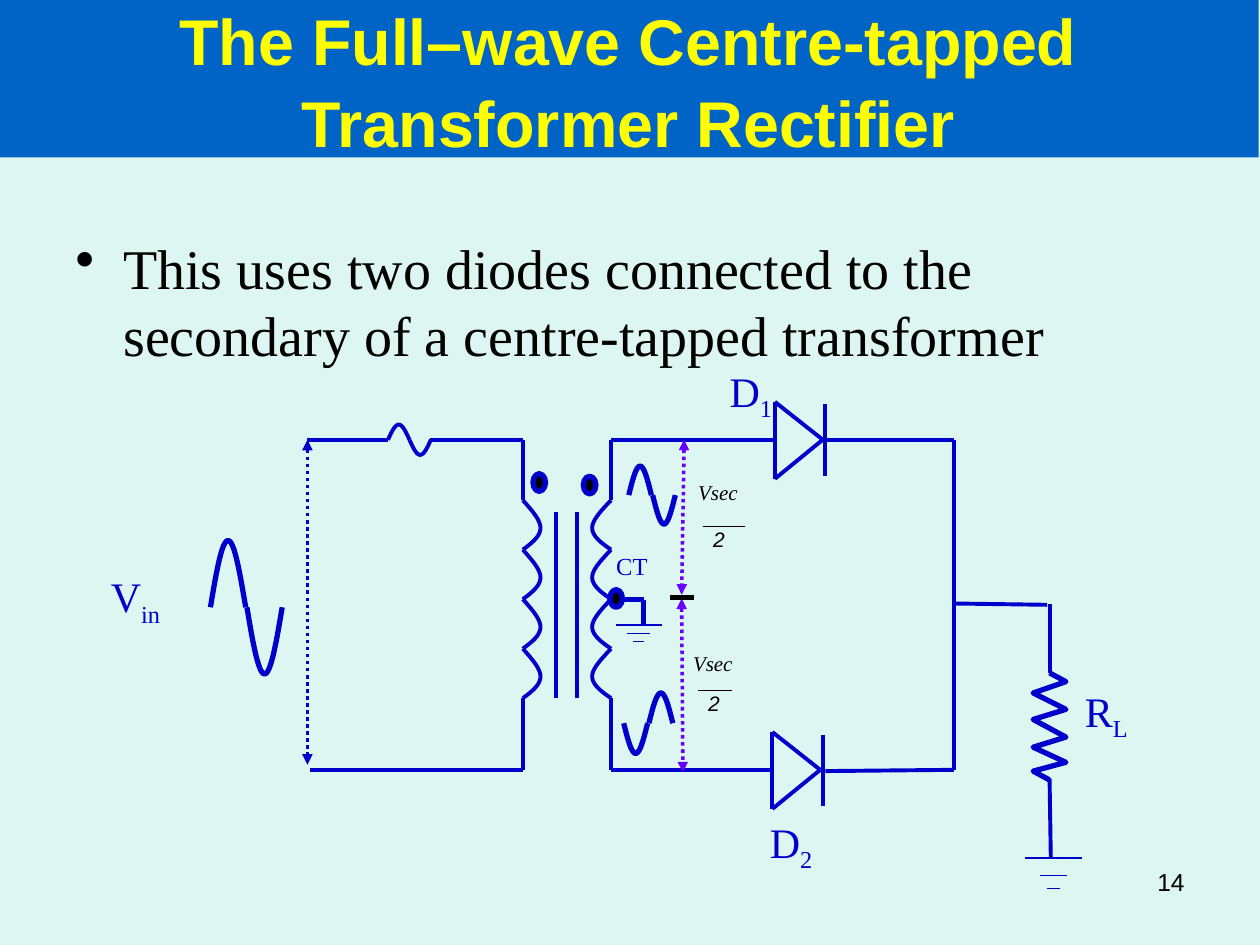
from math import pi, sin
from typing import NamedTuple

from lxml import etree
from pptx import Presentation
from pptx.dml.color import RGBColor
from pptx.enum.dml import MSO_LINE
from pptx.enum.shapes import MSO_CONNECTOR, MSO_SHAPE
from pptx.enum.text import MSO_ANCHOR, MSO_AUTO_SIZE, PP_ALIGN
from pptx.oxml.ns import qn
from pptx.util import Inches, Pt

STRAIGHT, OVAL = MSO_CONNECTOR.STRAIGHT, MSO_SHAPE.OVAL
DOTTED = MSO_LINE.ROUND_DOT
LEFT, CENTER, RIGHT = PP_ALIGN.LEFT, PP_ALIGN.CENTER, PP_ALIGN.RIGHT
BLUE, VIOLET, BLACK, YELLOW = "0000CC", "6600FF", "000000", "FFFF00"
BANNER, PAPER = "0063C6", "DEF6F1"
SERIF, SANS = "Times New Roman", "Arial"

Point = tuple[float, float]


class Wire(NamedTuple):
    x1: float
    y1: float
    x2: float
    y2: float
    color: str = BLUE
    width: float = 2.25
    arrows: bool = False


class Wave(NamedTuple):
    x: float
    y: float
    half: float       # length of a half cycle
    height: float     # negative when the trough comes first
    gap: float = 0.01
    width: float = 3


class Ground(NamedTuple):
    cx: float
    bars: tuple[Point, ...]  # y and length of each bar


class Label(NamedTuple):
    x: float
    y: float
    w: float
    h: float
    text: str
    sub: str = ""
    size: float = 24
    color: str = BLUE
    font: str = SERIF
    italic: bool = False
    align: PP_ALIGN = LEFT
    inset: float = 0


class HalfVoltage(NamedTuple):
    x: float
    y: float
    bar: float
    rise: float       # height of the numerator above the bar


WIRES = [
    # transformer core
    Wire(4.41, 4.06, 4.41, 5.54), Wire(4.58, 4.06, 4.58, 5.54),
    # primary side
    Wire(2.44, 3.49, 3.08, 3.49), Wire(3.41, 3.49, 4.15, 3.49),
    Wire(4.15, 3.49, 4.15, 3.97), Wire(4.15, 5.54, 4.15, 6.11),
    Wire(4.15, 6.11, 2.46, 6.11),
    # secondary side
    Wire(4.85, 5.54, 4.85, 6.11), Wire(4.85, 3.49, 4.85, 3.97),
    Wire(4.85, 3.49, 6.15, 3.49), Wire(4.85, 6.11, 6.13, 6.11),
    Wire(6.53, 3.49, 7.57, 3.49), Wire(6.55, 6.12, 7.57, 6.11),
    Wire(7.57, 3.49, 7.57, 5.11), Wire(7.57, 5.11, 7.57, 6.11),
    # load
    Wire(7.58, 4.79, 8.31, 4.8), Wire(8.33, 4.79, 8.33, 5.34),
    Wire(8.33, 6.18, 8.34, 6.81),
    # centre tap
    Wire(4.85, 4.76, 5.11, 4.76, width=3), Wire(5.11, 4.76, 5.11, 4.96, width=3),
    # voltage arrows
    Wire(5.43, 3.49, 5.41, 4.72, VIOLET, 2, True),
    Wire(5.41, 4.75, 5.42, 6.13, VIOLET, 2, True),
    Wire(2.44, 3.49, 2.44, 6.07, BLUE, 2, True),
]
WAVES = [
    Wave(3.08, 3.49, 0.17, 0.12, 0, 2.25),
    Wave(4.99, 3.93, 0.18, 0.23),
    Wave(4.95, 5.74, 0.19, -0.24),
    Wave(1.67, 4.82, 0.28, 0.53),
]
DIODES = [(6.15, 3.19), (6.13, 5.81)]
GROUNDS = [
    Ground(8.36, ((6.81, 0.45), (6.95, 0.22), (7.05, 0.1))),
    Ground(5.07, ((4.96, 0.36), (5.03, 0.18), (5.09, 0.09))),
]
LABELS = [
    Label(5.79, 2.9, 0.46, 0.37, "D", "1"),
    Label(6.11, 6.48, 0.49, 0.54, "D", "2"),
    Label(8.61, 5.44, 0.4, 0.59, "R", "L"),
    Label(0.88, 4.53, 0.61, 0.72, "V", "in"),
    Label(4.89, 4.37, 0.29, 0.3, "CT", size=14),
    Label(7.17, 6.83, 2.33, 0.52, "14", size=14, color=BLACK, font=SANS,
          align=RIGHT, inset=0.1),
]
HALF_VOLTAGES = [HalfVoltage(5.58, 4.18, 0.33, 0.37), HalfVoltage(5.54, 5.48, 0.27, 0.32)]
DOTS = [(4.23, 3.76), (4.63, 3.78), (4.84, 4.68)]
WINDING_TOP, TURN, TURNS = 3.97, 0.393, 4
RESISTOR = [(8.33, 6.19), (8.2, 6.12), (8.46, 6.05), (8.2, 5.93), (8.46, 5.85),
            (8.2, 5.71), (8.46, 5.63), (8.2, 5.5), (8.46, 5.41), (8.33, 5.34)]


def rgb(color: str) -> RGBColor:
    return RGBColor.from_string(color)


def set_font(font, name: str, size: float, color: str) -> None:
    font.name, font.size = name, Pt(size)
    font.color.rgb = rgb(color)


def set_line(line, color: str, width: float) -> None:
    line.color.rgb = rgb(color)
    line.width = Pt(width)


def draw_wire(shapes, wire: Wire) -> None:
    c = shapes.add_connector(STRAIGHT, *map(Inches, wire[:4]))
    set_line(c.line, wire.color, wire.width)
    if wire.arrows:
        c.line.dash_style = DOTTED
        for end in ("a:headEnd", "a:tailEnd"):
            etree.SubElement(c.line._ln, qn(end), type="triangle")
    etree.SubElement(c._element.spPr, qn("a:effectLst"))


def draw_path(shapes, points: list[Point], width: float) -> None:
    start, *rest = [(Inches(x), Inches(y)) for x, y in points]
    builder = shapes.build_freeform(*start)
    builder.add_line_segments(rest, close=False)
    sp = builder.convert_to_shape()
    sp.shadow.inherit = False
    sp.fill.background()
    set_line(sp.line, BLUE, width)


def draw_wave(shapes, wave: Wave, steps: int = 24) -> None:
    for x, height in ((wave.x, wave.height), (wave.x + wave.half + wave.gap, -wave.height)):
        draw_path(shapes, [(x + wave.half * i / steps, wave.y - height * sin(pi * i / steps))
                           for i in range(steps + 1)], wave.width)


def bezier(p0: float, p1: float, p2: float, p3: float, t: float) -> float:
    u = 1 - t
    return u**3 * p0 + 3 * u * u * t * p1 + 3 * u * t * t * p2 + t**3 * p3


def draw_winding(shapes, x: float, bulge: float, steps: int = 12) -> None:
    curves = [((0, 0.5, 1, 1), (0, 0.2, 0.4, 0.56)), ((1, 1, 0.5, 0), (0.56, 0.73, 0.87, 1))]
    turn = [(bezier(*xs, i / steps), bezier(*ys, i / steps))
            for xs, ys in curves for i in range(steps + 1)]
    for n in range(TURNS):
        draw_path(shapes, [(x + bulge * px, WINDING_TOP + TURN * (n + py)) for px, py in turn], 2.25)


def draw_diode(shapes, x: float, y: float) -> None:
    tip_x, tip_y = x + 0.38, y + 0.3
    for wire in (Wire(x, y, x, y + 0.61), Wire(x, y, tip_x, tip_y),
                 Wire(x, y + 0.61, tip_x, tip_y), Wire(x + 0.4, y + 0.02, x + 0.4, y + 0.59)):
        draw_wire(shapes, wire)


def draw_ground(shapes, ground: Ground) -> None:
    for y, length in ground.bars:
        draw_wire(shapes, Wire(ground.cx - length / 2, y, ground.cx + length / 2, y, width=0.75))


def draw_label(shapes, label: Label):
    tf = shapes.add_textbox(*map(Inches, label[:4])).text_frame
    tf.word_wrap = True
    tf.margin_left = tf.margin_right = Inches(label.inset)
    tf.margin_top = tf.margin_bottom = Inches(label.inset / 2)
    p = tf.paragraphs[0]
    p.alignment = label.align
    p.add_run().text = label.text
    if label.sub:
        r = p.add_run()
        r.text = label.sub
        r._r.get_or_add_rPr().set("baseline", "-25000")
    set_font(p.font, label.font, label.size, label.color)
    p.font.italic = label.italic
    return p


def draw_half_voltage(shapes, v: HalfVoltage) -> None:
    draw_wire(shapes, Wire(v.x, v.y, v.x + v.bar, v.y, BLACK, 0.5))
    draw_label(shapes, Label(v.x + 0.08, v.y, 0.1, 0.2, "2", "", 12, BLACK, SANS, True))
    draw_label(shapes, Label(v.x - 0.04, v.y - v.rise, 0.45, 0.2, "Vsec", "", 12, BLACK, SERIF, True))


def draw_dot(shapes, x: float, y: float) -> None:
    sp = shapes.add_shape(OVAL, Inches(x), Inches(y), Inches(0.1), Inches(0.14))
    sp.shadow.inherit = False
    sp.fill.solid()
    sp.fill.fore_color.rgb = rgb(BLACK)
    set_line(sp.line, BLUE, 3)


def draw_title(title) -> None:
    title.left, title.top, title.width, title.height = map(Inches, (-0.01, 0, 10, 1.25))
    title.fill.solid()
    title.fill.fore_color.rgb = rgb(BANNER)
    tf = title.text_frame
    tf.text = "The Full–wave Centre-tapped Transformer Rectifier"
    tf.auto_size, tf.vertical_anchor = MSO_AUTO_SIZE.NONE, MSO_ANCHOR.MIDDLE
    p = tf.paragraphs[0]
    p.alignment, p.line_spacing = CENTER, 1.05
    set_font(p.font, SANS, 36.9, YELLOW)
    p.font.bold = True


def draw_body(shapes) -> None:
    p = draw_label(shapes, Label(
        0.5, 1.8, 9, 1.15, "This uses two diodes connected to the secondary of a centre-tapped transformer",
        size=32, color=BLACK, inset=0.1))
    pPr = p._p.get_or_add_pPr()
    pPr.set("marL", str(Inches(0.38)))
    pPr.set("indent", str(-Inches(0.38)))
    bullet = etree.Element(qn("a:buChar"), char="•")
    pPr.find(qn("a:defRPr")).addprevious(bullet)


def main() -> None:
    prs = Presentation()
    prs.slide_width, prs.slide_height = Inches(10), Inches(7.5)
    s = prs.slides.add_slide(prs.slide_layouts[5])
    s.background.fill.solid()
    s.background.fill.fore_color.rgb = rgb(PAPER)
    shapes = s.shapes
    draw_title(shapes.title)
    draw_body(shapes)
    for draw, items in ((draw_wire, WIRES), (draw_wave, WAVES), (draw_ground, GROUNDS),
                        (draw_label, LABELS), (draw_half_voltage, HALF_VOLTAGES)):
        for item in items:
            draw(shapes, item)
    for x, y in DIODES:
        draw_diode(shapes, x, y)
    draw_winding(shapes, 4.15, 0.14)
    draw_winding(shapes, 4.85, -0.15)
    draw_path(shapes, RESISTOR, 3)
    for x, y in DOTS:
        draw_dot(shapes, x, y)
    draw_wire(shapes, Wire(5.32, 4.74, 5.51, 4.74, BLACK, 3))
    prs.save("out.pptx")


if __name__ == "__main__":
    main()
